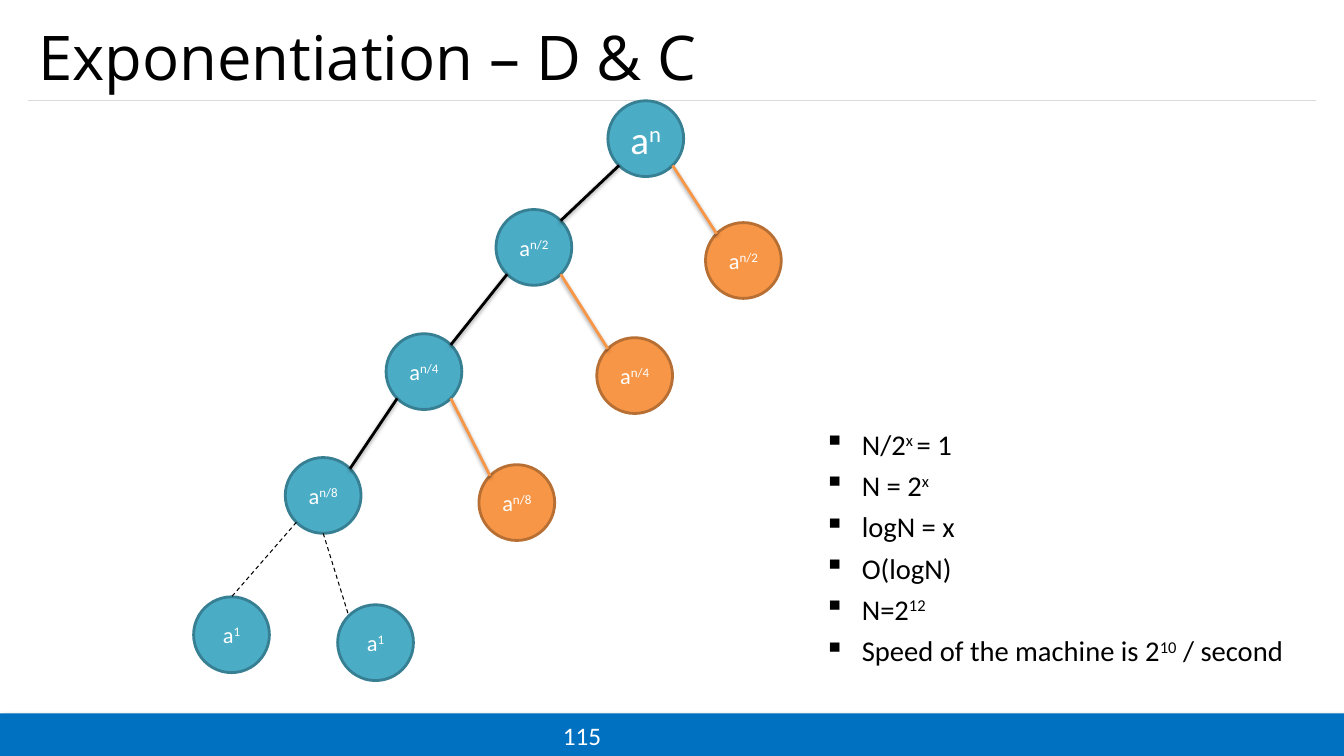
"""Build the slide on exponentiation by divide and conquer."""
from lxml.etree import SubElement
from pptx import Presentation
from pptx.dml.color import RGBColor
from pptx.enum.dml import MSO_LINE
from pptx.enum.shapes import MSO_CONNECTOR, MSO_SHAPE
from pptx.enum.text import MSO_ANCHOR, PP_ALIGN
from pptx.oxml.ns import qn
from pptx.util import Cm, Pt

SLIDE_WIDTH, SLIDE_HEIGHT = 33.87, 19.05
DIAMETER, NEAR, FAR = 1.91, 0.28, 1.63
BLACK, WHITE, GREY, BLUE = "000000", "FFFFFF", "D9D9D9", "0070C0"
TEAL, TEAL_EDGE = "4BACC6", "377F92"
ORANGE, ORANGE_EDGE = "F79646", "B76F34"

COMPUTED = [
    ("a|n", 15.32, 2.54),
    ("a|n/2", 12.5, 5.28),
    ("a|n/4", 9.73, 8.41),
    ("a|n/8", 7.19, 11.53),
]
REUSED = [("a|n/2", 17.78, 5.61), ("a|n/4", 15.04, 8.51), ("a|n/8", 12.07, 11.71)]
LEAVES = [("a|1", 4.88, 15.04), ("a|1", 8.51, 15.24)]
COST_NOTES = [
    "N/2|x |= 1",
    "N = 2|x",
    "logN = x",
    "O(logN)",
    "N=2|12",
    "Speed of the machine is 2|10| / second",
]


def color(value):
    """Turn a hex string into a colour."""
    return RGBColor.from_string(value)


class TreeSlide:
    """Hold the slide and its style and add elements to it."""

    font = "Calibri"

    def __init__(self, slide):
        """Keep the current slide."""
        self.slide = slide

    def add_text(self, paragraph, text, size, text_color=BLACK, font=font):
        """Add text in which every second piece between bars is raised."""
        for index, piece in enumerate(text.split("|")):
            run = paragraph.add_run()
            run.text = piece
            run.font.size = Pt(size)
            run.font.name = font
            run.font.color.rgb = color(text_color)
            if index % 2:
                run._r.get_or_add_rPr().set("baseline", "30000")

    def cast_shadow(self, shape, opacity, blur, distance, angle):
        """Replace the effects of a shape by a soft black shadow."""
        properties = shape._element.spPr
        effects = properties.find(qn("a:effectLst"))
        if effects is None:
            effects = SubElement(properties, qn("a:effectLst"))
        if opacity:
            shadow = SubElement(
                effects, qn("a:outerShdw"), blurRad=str(Pt(blur)),
                dist=str(Pt(distance)), dir=str(angle * 60000), rotWithShape="0")
            black = SubElement(shadow, qn("a:srgbClr"), val=BLACK)
            SubElement(black, qn("a:alpha"), val=str(opacity * 1000))

    def bar(self, left, top, width, height):
        """Add the footer bar."""
        shape = self.slide.shapes.add_shape(
            MSO_SHAPE.RECTANGLE, Cm(left), Cm(top), Cm(width), Cm(height))
        shape.shadow.inherit = False
        shape.fill.solid()
        shape.fill.fore_color.rgb = color(BLUE)
        shape.line.fill.background()
        self.cast_shadow(shape, 40, 4, 3, 45)

    def node(self, text, left, top, fill, edge, size=16):
        """Add a round tree node."""
        shape = self.slide.shapes.add_shape(
            MSO_SHAPE.OVAL, Cm(left), Cm(top), Cm(DIAMETER), Cm(DIAMETER))
        shape.shadow.inherit = False
        shape.fill.solid()
        shape.fill.fore_color.rgb = color(fill)
        shape.line.color.rgb = color(edge)
        shape.line.width = Pt(2)
        shape.text_frame.word_wrap = False
        shape.text_frame.vertical_anchor = MSO_ANCHOR.MIDDLE
        paragraph = shape.text_frame.paragraphs[0]
        paragraph.alignment = PP_ALIGN.CENTER
        self.add_text(paragraph, text, size, WHITE)

    def line(self, start, end, line_color, width=0.75, dashed=False, opacity=0):
        """Add a straight line, with a shadow if an opacity is given."""
        connector = self.slide.shapes.add_connector(
            MSO_CONNECTOR.STRAIGHT, *[Cm(value) for value in (*start, *end)])
        connector.line.color.rgb = color(line_color)
        connector.line.width = Pt(width)
        if dashed:
            connector.line.dash_style = MSO_LINE.DASH
        self.cast_shadow(connector, opacity, 3.1, 1.6, 90)

    def branch(self, parent, child, parent_x, child_x, line_color):
        """Join the lower rim of a node to the upper rim of its child."""
        start = parent[1] + parent_x, parent[2] + FAR
        end = child[1] + child_x, child[2] + NEAR
        self.line(start, end, line_color, 2, opacity=38)

    def text_box(self, left, top, width, height, anchor=MSO_ANCHOR.MIDDLE):
        """Add an empty text box and return its text frame."""
        text_box = self.slide.shapes.add_textbox(
            Cm(left), Cm(top), Cm(width), Cm(height))
        text_box.text_frame.word_wrap = True
        text_box.text_frame.vertical_anchor = anchor
        return text_box.text_frame

    def bullets(self, left, top, width, height, items, size):
        """Add a justified list with square bullets."""
        text_frame = self.text_box(left, top, width, height, MSO_ANCHOR.TOP)
        for index, item in enumerate(items):
            paragraph = text_frame.add_paragraph() if index else text_frame.paragraphs[0]
            paragraph.alignment = PP_ALIGN.JUSTIFY
            paragraph.line_spacing = 1.04
            paragraph.space_before = Pt(size * 0.2)
            properties = paragraph._p.get_or_add_pPr()
            properties.set("marL", str(Cm(0.95)))
            properties.set("indent", str(Cm(-0.95)))
            SubElement(properties, qn("a:buChar"), char="▪")
            self.add_text(paragraph, item, size)


def main():
    """Draw the slide and save it."""
    presentation = Presentation()
    presentation.slide_width = Cm(SLIDE_WIDTH)
    presentation.slide_height = Cm(SLIDE_HEIGHT)
    tree = TreeSlide(presentation.slides.add_slide(presentation.slide_layouts[6]))

    tree.bar(0, 17.98, SLIDE_WIDTH, 1.07)
    tree.line((0.71, 2.54), (33.17, 2.54), GREY)
    title = tree.text_box(0.71, 0.3, 32.46, 2.24)
    tree.add_text(title.paragraphs[0], "Exponentiation – D & C", 44, font="Open Sans")
    tree.bullets(20.52, 10.59, 12.62, 6.99, COST_NOTES, 20.4)
    page_number = tree.text_box(13.82, 18.03, 1.7, 1.02).paragraphs[0]
    page_number.alignment = PP_ALIGN.CENTER
    tree.add_text(page_number, "115", 18, WHITE)

    root, *descendants = COMPUTED
    tree.node(*root, TEAL, TEAL_EDGE, 28)
    for node in descendants + LEAVES:
        tree.node(*node, TEAL, TEAL_EDGE)
    for node in REUSED:
        tree.node(*node, ORANGE, ORANGE_EDGE)

    for parent, computed, reused in zip(COMPUTED, descendants, REUSED):
        tree.branch(parent, computed, NEAR, FAR, BLACK)
        tree.branch(parent, reused, FAR, NEAR, ORANGE)

    _, last_left, last_top = COMPUTED[-1]
    (_, first_left, first_top), (_, second_left, second_top) = LEAVES
    tree.line((last_left + NEAR, last_top + FAR),
              (first_left + DIAMETER / 2, first_top), BLACK, dashed=True)
    tree.line((last_left + DIAMETER / 2, last_top + DIAMETER),
              (second_left + NEAR, second_top + NEAR), BLACK, dashed=True)

    presentation.save("out.pptx")


if __name__ == "__main__":
    main()
